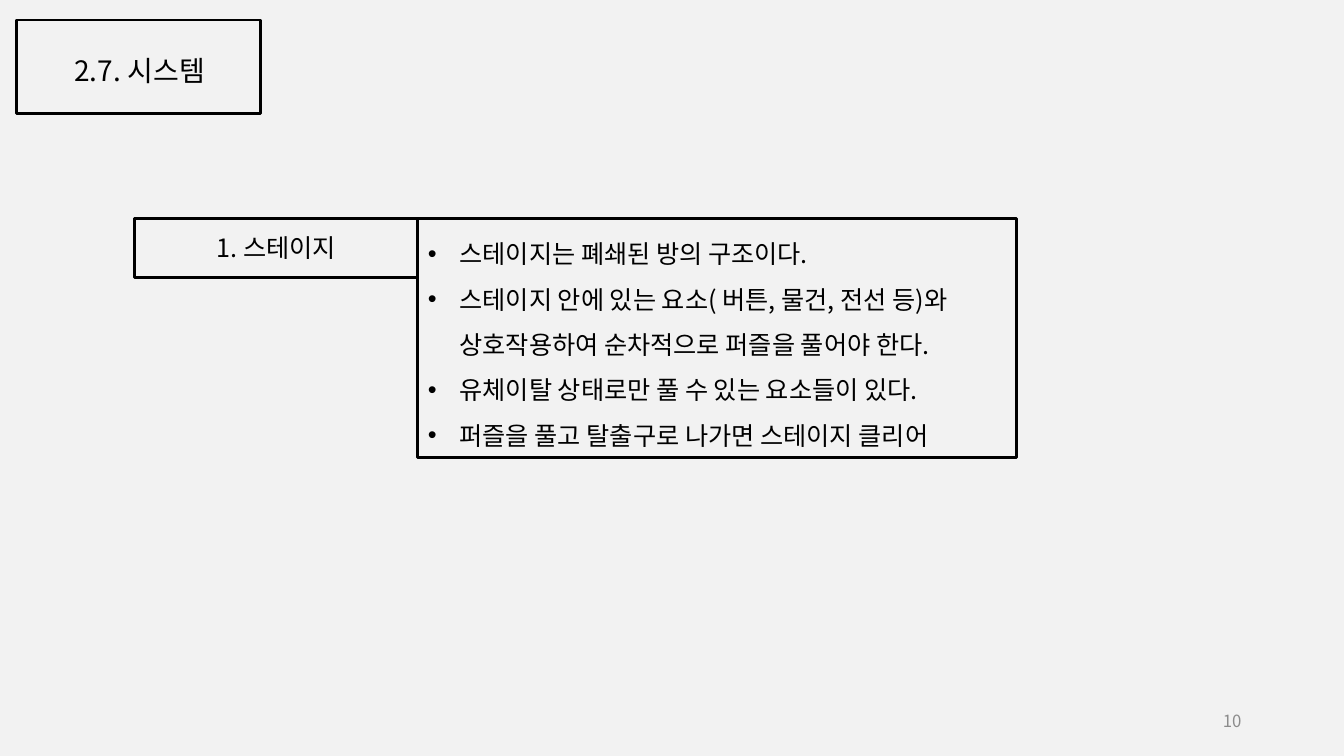
from dataclasses import dataclass

import lxml.etree
import pptx
import pptx.dml.color
import pptx.enum.shapes
import pptx.enum.text
import pptx.oxml.ns
import pptx.util

EMU_PER_PX = 9525  # 96 px to the inch
FONT = "Noto Sans CJK KR"
COLORS = {"background": "F2F2F2", "ink": "000000", "page_number": "8C8C8C"}
ALIGN = pptx.enum.text.PP_ALIGN
ANCHOR = pptx.enum.text.MSO_ANCHOR
qn = pptx.oxml.ns.qn


@dataclass(frozen=True)
class Box:
    left: int
    top: int
    width: int
    height: int

    def emu(self) -> list[int]:
        return [px(n) for n in (self.left, self.top, self.width, self.height)]


@dataclass(frozen=True)
class TextStyle:
    size: int
    color: str = "ink"
    align: ALIGN = ALIGN.CENTER
    anchor: ANCHOR = ANCHOR.MIDDLE
    outlined: bool = True
    bulleted: bool = False


SLIDE_SIZE = (1280, 720)
TITLE_FRAME = Box(16, 19, 232, 89)
TITLE_BOX = Box(23, 46, 220, 42)
TOPIC_BOX = Box(128, 208, 270, 56)
RULES_BOX = Box(TOPIC_BOX.left + TOPIC_BOX.width, TOPIC_BOX.top, 570, 228)
PAGE_BOX = Box(904, 667, 288, 38)
BULLET_INDENT = 30

RULES = [
    "스테이지는 폐쇄된 방의 구조이다.",
    "스테이지 안에 있는 요소( 버튼, 물건, 전선 등)와 상호작용하여 순차적으로 퍼즐을 풀어야 한다.",
    "유체이탈 상태로만 풀 수 있는 요소들이 있다.",
    "퍼즐을 풀고 탈출구로 나가면 스테이지 클리어",
]


def px(length: int) -> int:
    return length * EMU_PER_PX


def rgb(name: str) -> pptx.dml.color.RGBColor:
    return pptx.dml.color.RGBColor.from_string(COLORS[name])


def place(shape, box: Box) -> None:
    shape.left, shape.top, shape.width, shape.height = box.emu()


def draw_border(shape) -> None:
    shape.fill.background()
    shape.line.color.rgb = rgb("ink")
    shape.line.width = pptx.util.Pt(2)


def add_frame(slide, box: Box):
    shape = slide.shapes.add_shape(
        pptx.enum.shapes.MSO_SHAPE.RECTANGLE, *box.emu())
    shape.shadow.inherit = False
    draw_border(shape)
    return shape


def add_bullet(paragraph) -> None:
    paragraph.line_spacing = 1.5
    properties = paragraph._p.get_or_add_pPr()
    properties.set("marL", str(px(BULLET_INDENT)))
    properties.set("indent", str(-px(BULLET_INDENT)))
    lxml.etree.SubElement(properties, qn("a:buFont"), typeface="Arial")
    lxml.etree.SubElement(properties, qn("a:buChar"), char="•")


def outline_text(run) -> None:
    """Give the letters a thin, mostly transparent outline."""
    line = lxml.etree.Element(qn("a:ln"), w=str(pptx.util.Pt(0.75)))
    fill = lxml.etree.SubElement(line, qn("a:solidFill"))
    color = lxml.etree.SubElement(fill, qn("a:srgbClr"), val=COLORS["ink"])
    lxml.etree.SubElement(color, qn("a:alpha"), val="30000")
    run._r.get_or_add_rPr().insert(0, line)


def write(shape, lines: list[str], style: TextStyle) -> None:
    frame = shape.text_frame
    frame.word_wrap = True
    frame.auto_size = pptx.enum.text.MSO_AUTO_SIZE.NONE
    frame.vertical_anchor = style.anchor
    for index, line in enumerate(lines):
        paragraph = frame.add_paragraph() if index else frame.paragraphs[0]
        paragraph.alignment = style.align
        paragraph.space_before = pptx.util.Pt(0)
        if style.bulleted:
            add_bullet(paragraph)
        run = paragraph.add_run()
        run.text = line
        run.font.size = pptx.util.Pt(style.size)
        run.font.name = FONT
        run.font.color.rgb = rgb(style.color)
        lxml.etree.SubElement(run._r.get_or_add_rPr(), qn("a:ea"), typeface=FONT)
        if style.outlined:
            outline_text(run)


def main() -> None:
    presentation = pptx.Presentation()
    presentation.slide_width, presentation.slide_height = map(px, SLIDE_SIZE)
    slide = presentation.slides.add_slide(presentation.slide_layouts[1])
    slide.background.fill.solid()
    slide.background.fill.fore_color.rgb = rgb("background")

    # Framed title
    title = slide.shapes.title
    place(title, TITLE_BOX)
    write(title, ["2.7. 시스템"], TextStyle(20))
    add_frame(slide, TITLE_FRAME)

    # Topic and its rules
    topic = add_frame(slide, TOPIC_BOX)
    write(topic, ["1. 스테이지"], TextStyle(18))
    rules = slide.placeholders[1]
    place(rules, RULES_BOX)
    draw_border(rules)
    write(rules, RULES, TextStyle(
        18, align=ALIGN.LEFT, anchor=ANCHOR.TOP, bulleted=True))

    # Page number
    page_number = slide.shapes.add_textbox(*PAGE_BOX.emu())
    write(page_number, ["10"], TextStyle(
        12, "page_number", ALIGN.RIGHT, outlined=False))

    presentation.save("out.pptx")


if __name__ == "__main__":
    main()
